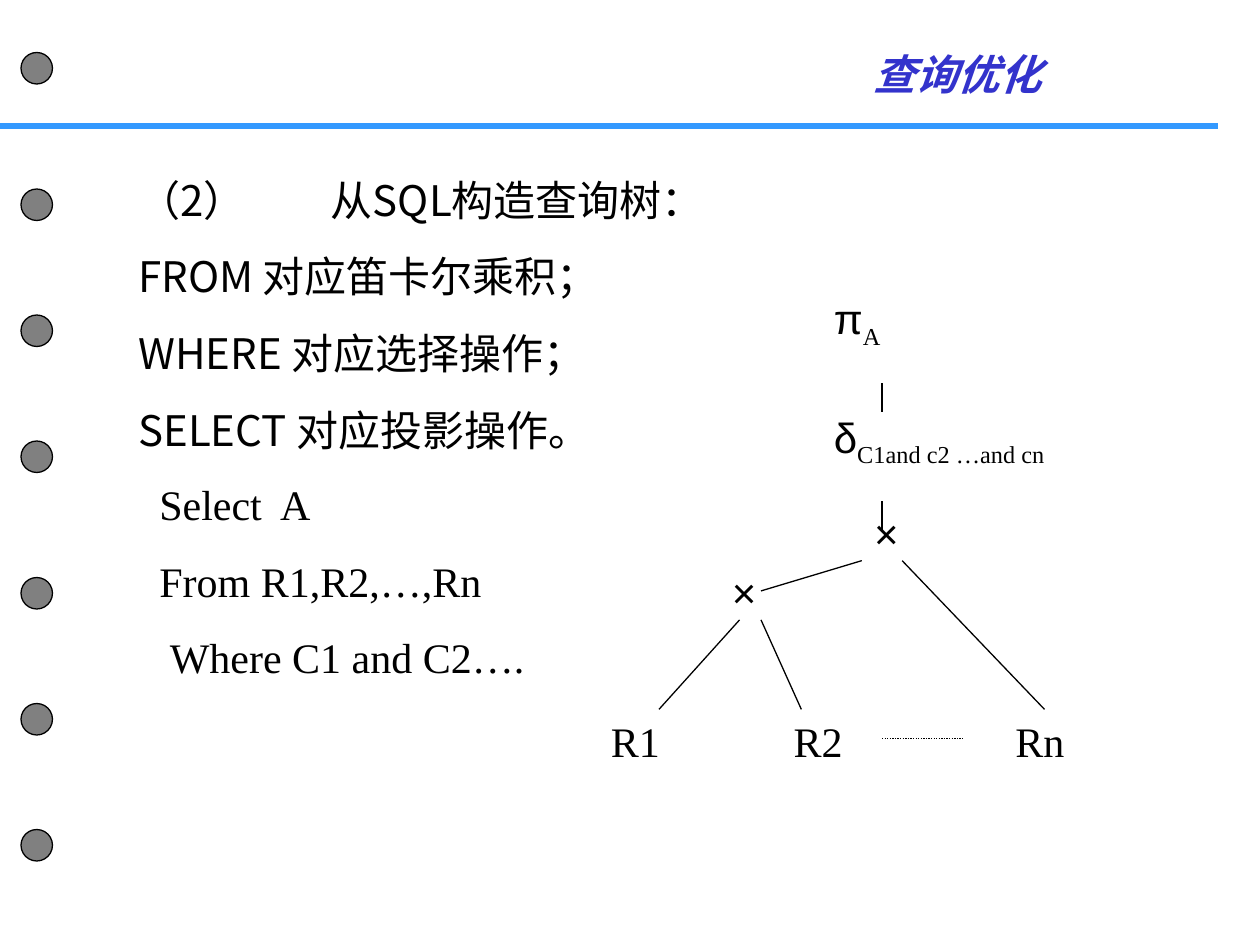
from typing import NamedTuple, Optional

from lxml.etree import SubElement
from pptx import Presentation
from pptx.dml.color import RGBColor
from pptx.enum.dml import MSO_LINE
from pptx.enum.shapes import MSO_CONNECTOR, MSO_SHAPE
from pptx.enum.text import MSO_ANCHOR, PP_ALIGN
from pptx.oxml.ns import qn
from pptx.util import Pt

BLACK, WHITE, GREY = "000000", "FFFFFF", "808080"
RULE_BLUE, TITLE_BLUE = "3399FF", "3333CC"
SERIF, SANS, CHINESE = "Times New Roman", "Arial", "Noto Sans CJK SC"
TEXT_SIZE, LINE_PITCH, PARAGRAPH_GAP = 24, 28.8, 15


class Line(NamedTuple):
    text: str
    tab: Optional[float] = None
    indent: float = 0


class Node(NamedTuple):
    left: float
    top: float
    width: float
    text: str
    font: str = SERIF
    subscript: str = ""


class Edge(NamedTuple):
    x1: float
    y1: float
    x2: float
    y2: float


def colour(value: str) -> RGBColor:
    return RGBColor.from_string(value)


def style_span(span, font: str, ink: str = BLACK) -> None:
    span.font.size = Pt(TEXT_SIZE)
    span.font.name = font
    span.font.color.rgb = colour(ink)
    SubElement(span._r.get_or_add_rPr(), qn("a:ea")).set("typeface", CHINESE)


def add_text(page, left: float, top: float, width: float, height: float,
             lines: list[Line], font: str, ink: str = BLACK, align=PP_ALIGN.LEFT):
    box = page.shapes.add_textbox(Pt(left), Pt(top), Pt(width), Pt(height))
    frame = box.text_frame
    frame.word_wrap = True
    frame.text = "\n".join(line.text for line in lines)
    for number, (para, line) in enumerate(zip(frame.paragraphs, lines)):
        para.alignment = align
        para.line_spacing = Pt(LINE_PITCH)
        if number:
            para.space_before = Pt(PARAGRAPH_GAP)
        properties = para._p.get_or_add_pPr()
        if line.indent:
            properties.set("marL", str(Pt(line.indent)))
        if line.tab:
            stops = SubElement(properties, qn("a:tabLst"))
            SubElement(stops, qn("a:tab"), pos=str(Pt(line.tab)), algn="l")
        for span in para.runs:
            style_span(span, font, ink)
    return box


def add_line(page, edge: Edge, ink: str = BLACK, width: float = 0.75):
    line = page.shapes.add_connector(MSO_CONNECTOR.STRAIGHT, *map(Pt, edge))
    line.line.color.rgb = colour(ink)
    line.line.width = Pt(width)
    SubElement(line._element.spPr, qn("a:effectLst"))
    return line


def add_punch_hole(page, top: float) -> None:
    hole = page.shapes.add_shape(MSO_SHAPE.OVAL, Pt(12), Pt(top), Pt(18), Pt(18))
    hole.shadow.inherit = False
    hole.fill.solid()
    hole.fill.fore_color.rgb = colour(GREY)
    hole.line.color.rgb = colour(BLACK)
    hole.line.width = Pt(0.75)


def add_node(page, node: Node):
    box = page.shapes.add_shape(MSO_SHAPE.RECTANGLE, Pt(node.left), Pt(node.top),
                                Pt(node.width), Pt(51))
    box.shadow.inherit = False
    box.fill.solid()
    box.fill.fore_color.rgb = colour(WHITE)
    box.line.fill.background()
    frame = box.text_frame
    frame.word_wrap = True
    frame.vertical_anchor = MSO_ANCHOR.TOP
    frame.text = node.text
    para = frame.paragraphs[0]
    para.alignment = PP_ALIGN.JUSTIFY
    para.line_spacing = Pt(LINE_PITCH)
    style_span(para.runs[0], node.font)
    if node.subscript:
        span = para.add_run()
        span.text = node.subscript
        style_span(span, SERIF)
        span.font._element.set("baseline", "-25000")
    return box


PUNCH_TOPS = [30, 108, 180, 252, 330, 402, 474]

RULES = [
    Line("（2）\t从SQL构造查询树：", tab=110),
    Line("FROM 对应笛卡尔乘积；"),
    Line("WHERE 对应选择操作；"),
    Line("SELECT 对应投影操作。"),
]
QUERY = [
    Line("Select\tA", tab=69),
    Line("From R1,R2,…,Rn"),
    Line("Where C1 and C2….", indent=6),
]

OPERATORS_AND_TABLES = [
    Node(411.12, 320.4, 46.08, "×", SANS),
    Node(492.48, 286.56, 46.08, "×", SANS),
    Node(342, 405.36, 57.6, "R1"),
    Node(446.4, 405.36, 46.08, "R2"),
    Node(573.12, 405.36, 57.6, "Rn"),
]
PROJECTION = Node(469.44, 167.76, 69.12, "π", SANS, "A")
SELECTION = Node(469.44, 235.44, 196.56, "δ", SANS, "C1and c2 …and cn")

BRANCHES = [
    Edge(492.48, 320.4, 434.88, 337.68),
    Edge(422.64, 354.24, 376.56, 405.36),
    Edge(434.88, 354.24, 457.92, 405.36),
    Edge(515.52, 320.4, 596.88, 405.36),
]


def main() -> None:
    deck = Presentation()
    deck.slide_width, deck.slide_height = Pt(720), Pt(540)
    page = deck.slides.add_slide(deck.slide_layouts[6])

    # Header rule, punch holes and title
    add_line(page, Edge(0, 72, 696, 72), RULE_BLUE, 3)
    for top in PUNCH_TOPS:
        add_punch_hole(page, top)
    title = add_text(page, 492, 24, 228, 36, [Line("查询优化")], SERIF, TITLE_BLUE)
    title_font = title.text_frame.paragraphs[0].runs[0].font
    title_font.bold = title_font.italic = True

    # Mapping rules and sample query
    add_text(page, 72, 96, 588, 212, RULES, CHINESE, align=PP_ALIGN.JUSTIFY)
    add_text(page, 84, 270, 582, 124, QUERY, SERIF)

    # Query tree: the selection box hides the lower half of the stem above it
    for node in OPERATORS_AND_TABLES:
        add_node(page, node)
    for branch in BRANCHES:
        add_line(page, branch)
    projection = add_node(page, PROJECTION)
    stem = add_line(page, Edge(504, 252.72, 504, 218.88))
    stem.end_connect(projection, 2)
    add_node(page, SELECTION)
    add_line(page, Edge(504, 286.56, 504, 303.84))
    ellipsis = add_line(page, Edge(504, 421.92, 550.08, 421.92))
    ellipsis.line.dash_style = MSO_LINE.ROUND_DOT

    deck.save("out.pptx")


if __name__ == "__main__":
    main()
